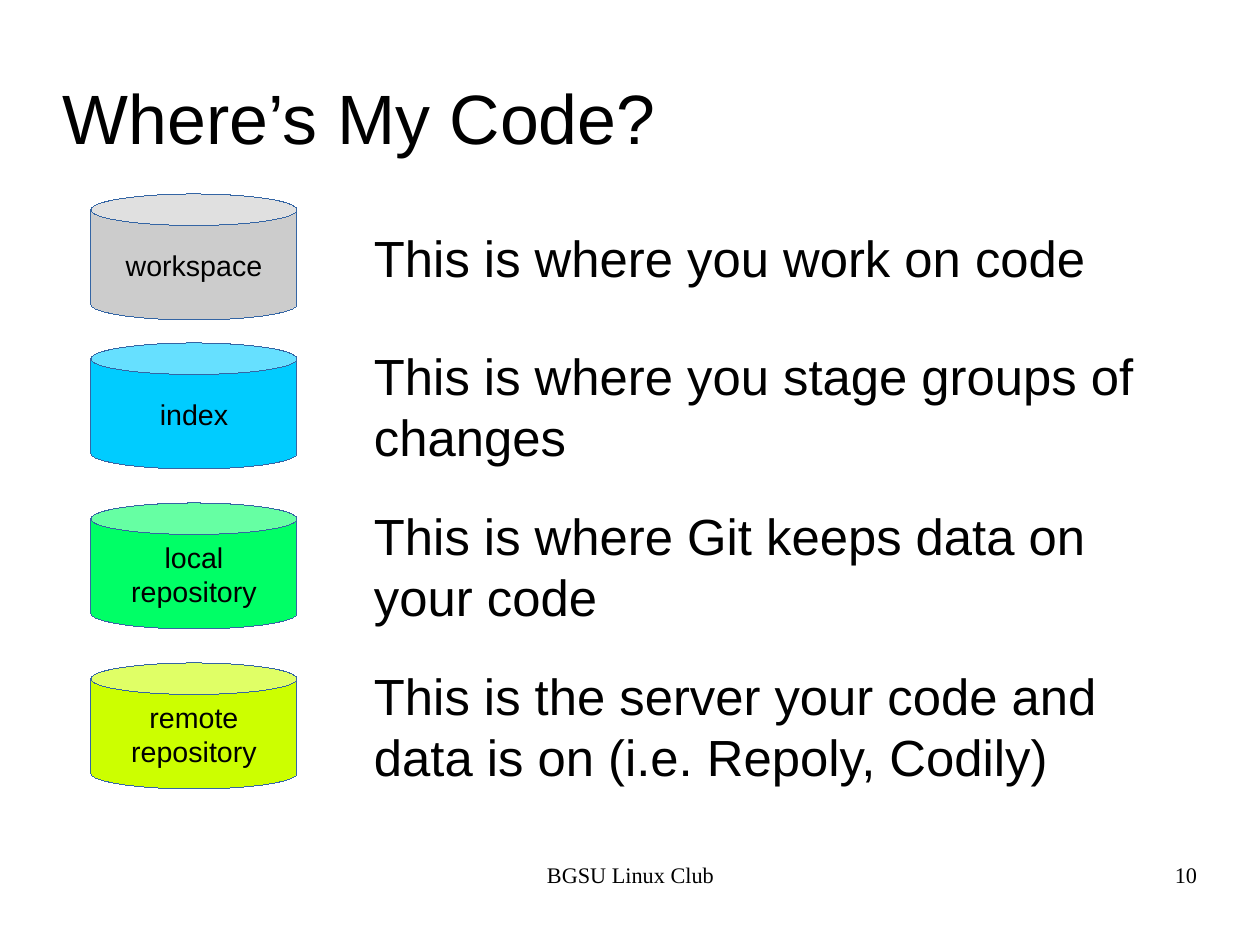
from pptx import Presentation
from pptx.dml.color import RGBColor
from pptx.enum.shapes import MSO_SHAPE
from pptx.enum.text import MSO_ANCHOR, PP_ALIGN
from pptx.util import Emu, Pt

PX = 8000


def color(value):
    return RGBColor.from_string(value)


def write(holder, lines, size, font="Arial", align=PP_ALIGN.LEFT, **format_values):
    frame = holder.text_frame
    frame_values = {
        "margin_left": 0,
        "margin_top": 0,
        "margin_right": 0,
        "margin_bottom": 0,
        "word_wrap": True,
        "vertical_anchor": MSO_ANCHOR.MIDDLE,
    }
    for name, value in (frame_values | format_values).items():
        setattr(frame, name, value)
    frame.text = lines
    for paragraph in frame.paragraphs:
        paragraph.alignment = align
        for name, value in {"name": font, "size": Pt(size)}.items():
            setattr(paragraph.font, name, value)
        paragraph.font.color.rgb = color("000000")


deck = Presentation()
deck.slide_width = 1260 * PX
deck.slide_height = 945 * PX
slide = deck.slides.add_slide(deck.slide_layouts[6])
shapes = slide.shapes

title = shapes.add_textbox(63 * PX, 38 * PX, 1134 * PX, 158 * PX)
write(title, "Where’s My Code?", 44)

places = [
    (194, "workspace", "CCCCCC", "This is where you work on code"),
    (343, "index", "00CCFF", "This is where you stage groups of changes"),
    (503, "local\nrepository", "00FF66", "This is where Git keeps data on your code"),
    (663, "remote\nrepository", "CCFF00",
     "This is the server your code and data is on (i.e. Repoly, Codily)"),
]
for top, label, fill, meaning in places:
    store = shapes.add_shape(MSO_SHAPE.CAN, 91 * PX, top * PX, 206 * PX, 126 * PX)
    store.shadow.inherit = False
    store.fill.solid()
    store.fill.fore_color.rgb = color(fill)
    store.line.color.rgb = color("3465A4")
    store.line.width = Emu(1)
    write(store, label, 18, align=PP_ALIGN.CENTER, word_wrap=False)

    explanation = shapes.add_textbox(320 * PX, top * PX, 877 * PX, 126 * PX)
    write(explanation, meaning, 32, margin_left=54 * PX)

footers = [
    (431, 399, "BGSU Linux Club", PP_ALIGN.CENTER),
    (903, 294, "10", PP_ALIGN.RIGHT),
]
for left, width, words, align in footers:
    footer = shapes.add_textbox(left * PX, 861 * PX, width * PX, 65 * PX)
    write(footer, words, 14, "Times New Roman", align, vertical_anchor=MSO_ANCHOR.TOP)

deck.save("out.pptx")
